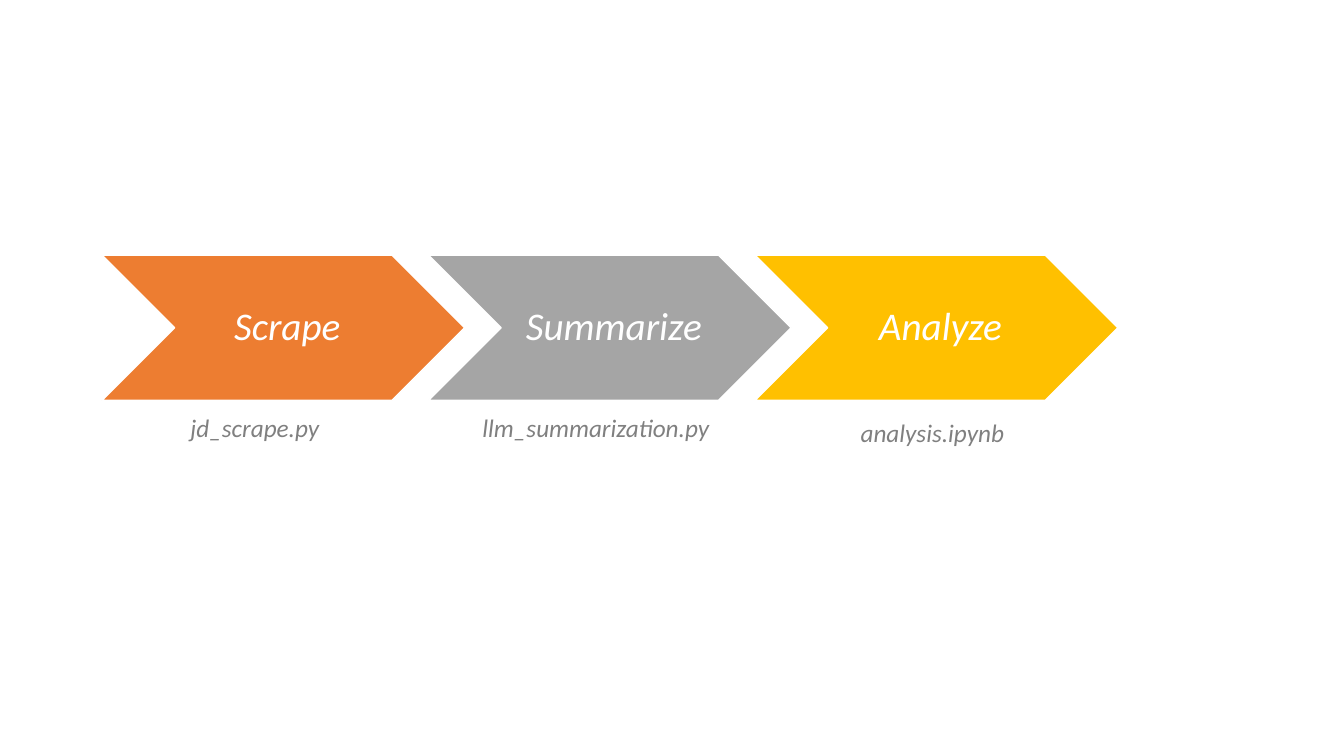
"""Build a slide with a three-step chevron pipeline and its file names."""
from pptx import Presentation
from pptx.dml.color import RGBColor
from pptx.enum.shapes import MSO_SHAPE as SHAPE
from pptx.enum.text import MSO_ANCHOR as ANCHOR, MSO_AUTO_SIZE as AUTO, PP_ALIGN as ALIGN
from pptx.util import Cm, Pt

WHITE = RGBColor(0xFF, 0xFF, 0xFF)
ORANGE = RGBColor(0xED, 0x7D, 0x31)
SILVER = RGBColor(0xA5, 0xA5, 0xA5)
GOLD = RGBColor(0xFF, 0xC0, 0x00)
GRAY = RGBColor(0x80, 0x80, 0x80)

LEFT, TOP, WIDTH, HEIGHT, STEP = 2.57, 6.43, 9.14, 3.66, 8.23


def style_text(p, size, color):
    font = p.runs[0].font
    font.name = "Calibri"
    font.size = Pt(size)
    font.italic = True
    font.color.rgb = color


prs = Presentation()
prs.slide_width, prs.slide_height = Cm(33.87), Cm(19.05)
s = prs.slides.add_slide(prs.slide_layouts[6])

steps = [("Scrape", ORANGE), ("Summarize", SILVER), ("Analyze", GOLD)]
for i, (label, color) in enumerate(steps):
    sp = s.shapes.add_shape(SHAPE.CHEVRON, Cm(LEFT + i * STEP), Cm(TOP), Cm(WIDTH), Cm(HEIGHT))
    sp.shadow.inherit = False
    sp.fill.solid()
    sp.fill.fore_color.rgb = color
    sp.line.color.rgb = WHITE
    sp.line.width = Pt(1)
    tf = sp.text_frame
    tf.text = label
    tf.word_wrap = True
    tf.vertical_anchor = ANCHOR.MIDDLE
    tf.margin_left = Cm(0.3)
    tf.margin_top = tf.margin_right = tf.margin_bottom = Cm(0.1)
    p = tf.paragraphs[0]
    p.alignment = ALIGN.CENTER
    p.line_spacing = 0.9
    style_text(p, 28, WHITE)

files = [
    ("jd_scrape.py", 4.55, 10.26, 5.36, 1.02),
    ("llm_summarization.py", 11.91, 10.26, 8.64, 1.02),
    ("analysis.ipynb", 21.44, 10.39, 5.36, 1.8),
]
for name, left, top, width, height in files:
    sp = s.shapes.add_textbox(Cm(left), Cm(top), Cm(width), Cm(height))
    tf = sp.text_frame
    tf.text = name
    tf.word_wrap = True
    tf.auto_size = AUTO.SHAPE_TO_FIT_TEXT
    style_text(tf.paragraphs[0], 18, GRAY)

prs.save("out.pptx")
